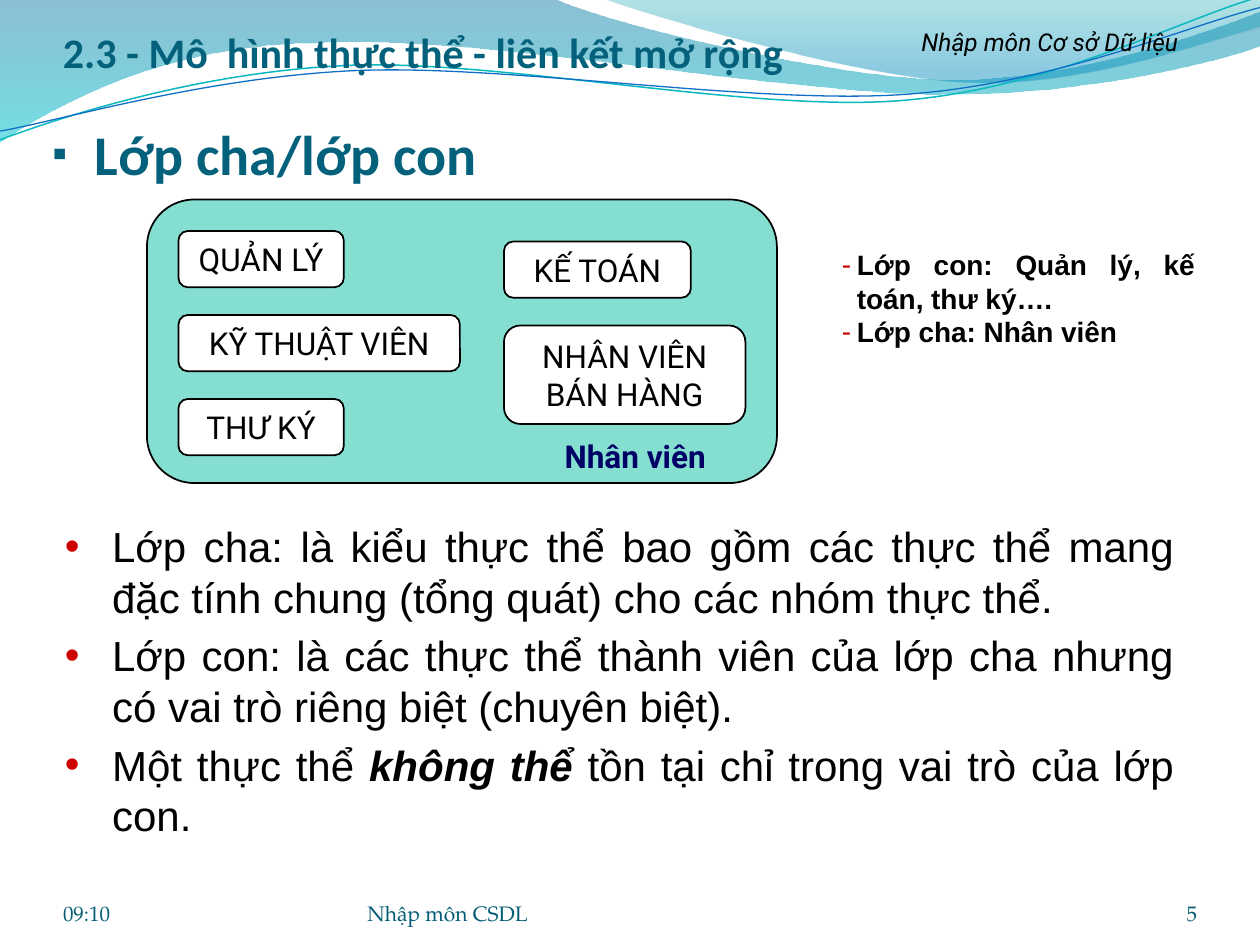
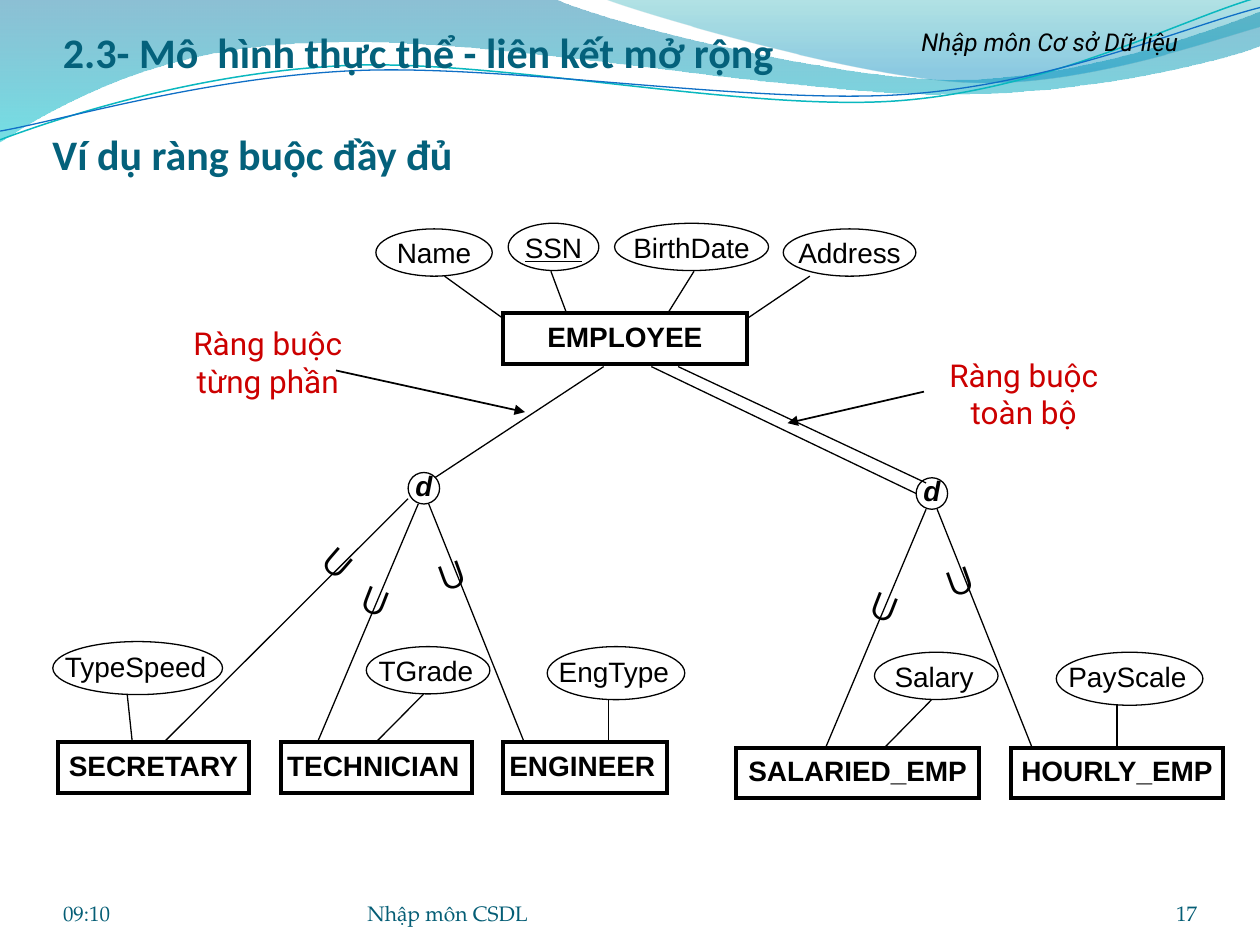
from pptx import Presentation
from pptx.dml.color import RGBColor
from pptx.enum.shapes import MSO_CONNECTOR, MSO_SHAPE
from pptx.enum.text import MSO_ANCHOR as ANCHOR, PP_ALIGN as ALIGN
from pptx.oxml.ns import qn
from pptx.util import Pt
from lxml.etree import SubElement

COLOURS = {
    "title": "04617B", "footer": "045D75", "ink": "000000", "white": "FFFFFF",
    "superclass": "85DFD0", "navy": "000066", "red": "CC0000",
    "wave_teal": "0AB8BF", "wave_blue": "0F6FC6",
    "band_blue": "0074A1", "band_cyan": "00C6CF",
    "band_green": "00A1A9", "band_sky": "008BBF",
}
FORMATS = {
    "heading": {"name": "Calibri", "size": Pt(32), "bold": True},
    "title": {"name": "Calibri", "size": Pt(24), "bold": True},
    "course": {"name": "Roboto", "size": Pt(14), "italic": True},
    "footer": {"name": "TeX Gyre Pagella", "size": Pt(12)},
    "role": {"name": "Roboto", "size": Pt(18)},
    "role_bold": {"name": "Roboto", "size": Pt(18), "bold": True},
    "body": {"name": "Arial", "size": Pt(24)},
    "attribute": {"name": "Arial", "size": Pt(16)},
    "key": {"name": "Arial", "size": Pt(16), "underline": True},
    "entity": {"name": "Arial", "size": Pt(16), "bold": True},
    "disjoint": {"name": "Arial", "size": Pt(16), "bold": True, "italic": True},
}
EMPHASIS = {"bold": True, "italic": True}
DEFAULT_INSETS = (7.2, 3.6, 7.2, 3.6)
TITLE_INSETS = (0, 3.6, 0, 0)
NO_INSETS = (0, 0, 0, 0)
WIDE_SPACE = 5.4

# Outline steps: one point is a straight line, three points are a curve
BANDS = [
    ((0, -0.7), [
        [(316.8, -0.7)],
        [(342.7, 12.2), (478.1, 45.4), (545.8, 45.4)],
        [(614.2, 45.4), (689.8, 18.7), (720, 6.5)],
        [(720.7, 25.9)],
        [(707.8, 31.7), (626.4, 54.7), (537.1, 54)],
        [(447.8, 54), (275, 20.2), (185, 24.5)],
        [(92.9, 25.2), (33.1, 59.8), (-0.7, 81.4)],
        [(0, -0.7)],
    ], [("band_blue", 0, 45), ("band_cyan", 1, 55)]),
    ((344.9, -0.7), [
        [(366.5, 7.9), (491, 44.6), (553.7, 46.8)],
        [(616.3, 49.7), (691.9, 23), (720, 15.1)],
        [(720, 0)],
        [(344.9, -0.7)],
    ], [("band_green", 0, 30), ("band_sky", 0.8, 45)]),
]
WAVES = [
    ((0, 79.9), [
        [(34.6, 67), (113.8, 41), (199.4, 37.4)],
        [(284.4, 33.8), (427, 64.1), (513.4, 57.6)],
        [(599.8, 51.1), (675.4, 10.8), (718.6, -1.4)],
    ], "wave_teal", 0.85),
    ((0, 74.9), [
        [(33.8, 69.1), (118.1, 43.9), (203.8, 40.3)],
        [(290.2, 36.7), (429.8, 59.8), (516.2, 54)],
        [(601.9, 48.2), (677.5, 15.1), (720, 4.3)],
    ], "wave_blue", 0.75),
]


def rgb(colour):
    return RGBColor.from_string(COLOURS[colour])


def apply_format(target, values):
    for name, value in values.items():
        setattr(target, name, value)


def add_bullet(paragraph, symbol, colour, indent, percent=100):
    props = paragraph._p.get_or_add_pPr()
    props.set("marL", str(Pt(indent)))
    props.set("indent", str(-Pt(indent)))
    bullet_colour = SubElement(props, qn("a:buClr"))
    SubElement(bullet_colour, qn("a:srgbClr"), val=COLOURS[colour])
    SubElement(props, qn("a:buSzPct"), val=str(percent * 1000))
    SubElement(props, qn("a:buFont"), typeface="Arial")
    SubElement(props, qn("a:buChar"), char=symbol)


def write(shape, paragraphs, style, colour="ink", align=ALIGN.LEFT, anchor=ANCHOR.TOP,
          insets=DEFAULT_INSETS, wrap=True, bullet=None, gap=0):
    """Each paragraph is a list of (text, extra format, letter spacing) runs."""
    frame = shape.text_frame
    left, top, right, bottom = map(Pt, insets)
    apply_format(frame, {"word_wrap": wrap, "vertical_anchor": anchor,
                         "margin_left": left, "margin_top": top,
                         "margin_right": right, "margin_bottom": bottom})
    for index, runs in enumerate(paragraphs):
        paragraph = frame.add_paragraph() if index else frame.paragraphs[0]
        paragraph.alignment = align
        if index and gap:
            paragraph.space_before = Pt(gap)
        if bullet:
            add_bullet(paragraph, *bullet)
        for text, extra, spacing in runs:
            run = paragraph.add_run()
            run.text = text
            apply_format(run.font, {**FORMATS[style], **extra})
            run.font.color.rgb = rgb(colour)
            if spacing:
                run._r.get_or_add_rPr().set("spc", str(round(spacing * 100)))


def plain(*texts):
    return [[(text, {}, 0)] for text in texts]


def add_text(slide, box, paragraphs, style, rotation=0, **options):
    label = slide.shapes.add_textbox(*map(Pt, box))
    label.rotation = rotation
    write(label, paragraphs, style, **options)


def add_box(slide, kind, box, fill=None, weight=1.0):
    shape = slide.shapes.add_shape(kind, *map(Pt, box))
    shape.shadow.inherit = False
    if fill:
        shape.fill.solid()
        shape.fill.fore_color.rgb = rgb(fill)
    else:
        shape.fill.background()
    shape.line.color.rgb = rgb("ink")
    shape.line.width = Pt(weight)
    SubElement(shape._element.spPr.find(qn("a:ln")), qn("a:miter"), lim="800000")
    return shape


def add_link(slide, start, end, weight=0.75, arrow=False):
    link = slide.shapes.add_connector(MSO_CONNECTOR.STRAIGHT, *map(Pt, start + end))
    link.line.color.rgb = rgb("ink")
    link.line.width = Pt(weight)
    props = link._element.spPr
    if arrow:
        SubElement(props.find(qn("a:ln")), qn("a:tailEnd"), type="triangle")
    SubElement(props, qn("a:effectLst"))
    return link


def add_outline(slide, start, steps, close):
    """Build a freeform, then join every three-point step into one curve."""
    builder = slide.shapes.build_freeform(*map(Pt, start))
    builder.add_line_segments([tuple(map(Pt, point)) for step in steps for point in step],
                              close=close)
    outline = builder.convert_to_shape()
    outline.shadow.inherit = False
    segments = iter(list(outline._element.spPr.iter(qn("a:lnTo"))))
    for step in steps:
        first, *others = [next(segments) for _ in step]
        if others:
            first.tag = qn("a:cubicBezTo")
        for segment in others:
            first.append(segment[0])
            segment.getparent().remove(segment)
    return outline


def add_frame(slide, section, number):
    """Top bands and waves, section title, course name and footer."""
    for start, steps, stops in BANDS:
        band = add_outline(slide, start, steps, True)
        band.line.fill.background()
        band.fill.gradient()
        band.fill.gradient_angle = 270
        for stop, (colour, position, _) in zip(band.fill.gradient_stops, stops):
            stop.color.rgb = rgb(colour)
            stop.position = position
        tints = band._element.spPr.iter(qn("a:srgbClr"))
        for tint, (_, _, opacity) in zip(list(tints), stops):
            SubElement(tint, qn("a:alpha"), val=str(opacity * 1000))
    for start, steps, colour, weight in WAVES:
        wave = add_outline(slide, start, steps, False)
        wave.fill.background()
        wave.line.color.rgb = rgb(colour)
        wave.line.width = Pt(weight)
    add_text(slide, (480, 12, 240, 24.5), plain("Nhập môn Cơ sở Dữ liệu"), "course",
             align=ALIGN.CENTER)
    title = [[(section, {}, 0), (" ", {}, WIDE_SPACE),
              ("hình thực thể - liên kết mở rộng", {}, 0)]]
    add_text(slide, (36, 18, 648, 26), title, "title", colour="title",
             anchor=ANCHOR.BOTTOM, insets=TITLE_INSETS)
    for text, left, width, align in [("09:10", 36, 168, ALIGN.LEFT),
                                     ("Nhập môn CSDL", 210, 264, ALIGN.LEFT),
                                     (number, 624, 60, ALIGN.RIGHT)]:
        add_text(slide, (left, 500.2, width, 28.8), plain(text), "footer", colour="footer",
                 align=align, anchor=ANCHOR.BOTTOM, insets=NO_INSETS)


def add_role(slide, name, left, top, width, height=32.2):
    role = add_box(slide, MSO_SHAPE.ROUNDED_RECTANGLE, (left, top, width, height), "white")
    write(role, plain(name), "role", align=ALIGN.CENTER, anchor=ANCHOR.MIDDLE)


def add_entity(slide, name, left, top, width, align=ALIGN.CENTER):
    entity = add_box(slide, MSO_SHAPE.RECTANGLE, (left, top, width, 29), weight=2.25)
    write(entity, plain(name), "entity", align=align, insets=(3.6,) * 4)
    return entity


def add_oval(slide, text, box, style="attribute", anchor=ANCHOR.TOP, insets=NO_INSETS):
    oval = add_box(slide, MSO_SHAPE.OVAL, box, weight=0.75)
    write(oval, plain(text), style, align=ALIGN.CENTER, anchor=anchor,
          insets=insets, wrap=False)


def build_class_slide(slide):
    add_frame(slide, "2.3 - Mô", "5")
    add_text(slide, (30, 60, 672, 46.5), plain("Lớp cha/lớp con"), "heading", colour="title",
             anchor=ANCHOR.BOTTOM, insets=TITLE_INSETS, bullet=("▪", "title", 24, 75))
    # Superclass with its subclasses
    add_box(slide, MSO_SHAPE.FLOWCHART_ALTERNATE_PROCESS, (84, 114, 360, 162), "superclass")
    add_text(slide, (288, 246, 150, 28.8), plain("Nhân viên"), "role_bold", colour="navy",
             align=ALIGN.CENTER)
    left_roles = [("QUẢN LÝ", 94.5), ("KỸ THUẬT VIÊN", 160.8), ("THƯ KÝ", 94.5)]
    for row, (name, width) in enumerate(left_roles):
        add_role(slide, name, 102, 132 + 48 * row, width)
    add_role(slide, "KẾ TOÁN", 288, 138, 106.8)
    add_role(slide, "NHÂN VIÊN BÁN HÀNG", 288, 186, 138, 56.3)
    # Explanations
    add_text(slide, (474, 138, 216, 101), plain("Lớp con: Quản lý, kế toán, thư ký….",
                                                "Lớp cha: Nhân viên"),
             "entity", align=ALIGN.JUSTIFY, bullet=("-", "red", 8.6))
    definitions = plain(
        "Lớp cha: là kiểu thực thể bao gồm các thực thể mang đặc tính chung (tổng quát) "
        "cho các nhóm thực thể.",
        "Lớp con: là các thực thể thành viên của lớp cha nhưng có vai trò riêng biệt "
        "(chuyên biệt).")
    definitions.append([("Một thực thể ", {}, 0), ("không thể ", EMPHASIS, 0),
                        ("tồn tại chỉ trong vai trò của lớp con.", {}, 0)])
    add_text(slide, (30, 294, 648, 210), definitions, "body", align=ALIGN.JUSTIFY,
             bullet=("•", "red", 27), gap=4.8)


def build_constraint_slide(slide):
    add_frame(slide, "2.3- Mô", "17")
    add_text(slide, (30, 54, 648, 48), plain("Ví dụ ràng buộc đầy đủ"), "title", colour="title",
             anchor=ANCHOR.BOTTOM, insets=TITLE_INSETS)
    # Entities
    add_entity(slide, "EMPLOYEE", 287.5, 179, 139.2)
    add_entity(slide, "SECRETARY", 33.2, 424, 109)
    technician = add_entity(slide, "TECHNICIAN", 160.5, 424, 109, ALIGN.LEFT)
    add_entity(slide, "ENGINEER", 287.5, 424, 93.8, ALIGN.LEFT)
    add_entity(slide, "SALARIED_EMP", 420.5, 427.2, 139.2)
    hourly = add_entity(slide, "HOURLY_EMP", 577.6, 427.2, 121.4)
    # Attributes, each with the ends of its link and the entity side it joins
    attributes = [
        ("Name", (214.8, 130.8, 66.5, 27), (254, 157.8), (287.5, 182), None),
        ("SSN", (290.4, 127.6, 51.8, 27), (314.8, 155), (323.8, 179), None),
        ("BirthDate", (351.2, 127.6, 88, 27), (396.6, 155), (381.6, 179), None),
        ("Address", (447.6, 130.8, 75.8, 27), (462.8, 157.8), (427, 182), None),
        ("TypeSpeed", (30.2, 366.6, 97, 30.3), (72.7, 396.7), (75.6, 424), None),
        ("TGrade", (209.3, 369.5, 70.6, 27), (242, 396.7), (215, 424), technician),
        ("EngType", (312.7, 369.5, 78.6, 30.3), (347.8, 399.6), (347.8, 424), None),
        ("Salary", (499.7, 372.7, 70.6, 27), (532.2, 400), (505.5, 427.2), None),
        ("PayScale", (603.6, 372.7, 83.8, 30.3), (638.3, 403), (638.3, 427.2), hourly),
    ]
    for name, box, start, end, entity in attributes:
        insets = (0, 0, 2.4, 0) if box[1] > 300 else NO_INSETS
        add_oval(slide, name, box, "key" if name == "SSN" else "attribute", insets=insets)
        link = add_link(slide, start, end)
        if entity:
            link.end_connect(entity, 0)
    # Disjoint specialisations
    for left, top in [(233.2, 270), (523.5, 273)]:
        add_oval(slide, "d", (left, top, 18, 18), "disjoint", ANCHOR.MIDDLE, (0, 0, 0, 3.2))
    for start, end in [((345, 209.5), (248.5, 273)), ((387.5, 209.5), (529.2, 276)),
                       ((372.2, 209.5), (523.5, 282)), ((233.2, 285), (93.8, 424)),
                       ((239, 288), (181.5, 424)), ((245, 288), (299.5, 424)),
                       ((529.2, 291), (471.8, 427.2)), ((535.5, 291), (589.8, 427.2))]:
        add_link(slide, start, end)
    for left, top, rotation in [(178.5, 303, 41.1), (199.6, 324, 21.4), (242, 309, 340.3),
                                (490.5, 327.5, 21.4), (532.2, 312.5, 340.3)]:
        add_text(slide, (left, top, 33, 36), plain("∪"), "body", rotation=rotation)
    # Constraint notes
    for note, left, top, start, end in [
            ("Ràng buộc từng phần", 96, 181.5, (192, 211.7), (300, 235.5)),
            ("Ràng buộc toàn bộ", 528, 199.7, (528, 223.8), (450, 241.8))]:
        add_link(slide, start, end, 1, arrow=True)
        add_text(slide, (left, top, 114, 50.5), plain(note), "role", colour="red",
                 align=ALIGN.CENTER)


def main():
    deck = Presentation()
    deck.slide_width, deck.slide_height = Pt(720), Pt(540)
    for build in (build_class_slide, build_constraint_slide):
        build(deck.slides.add_slide(deck.slide_layouts[6]))
    deck.save("out.pptx")


if __name__ == "__main__":
    main()
